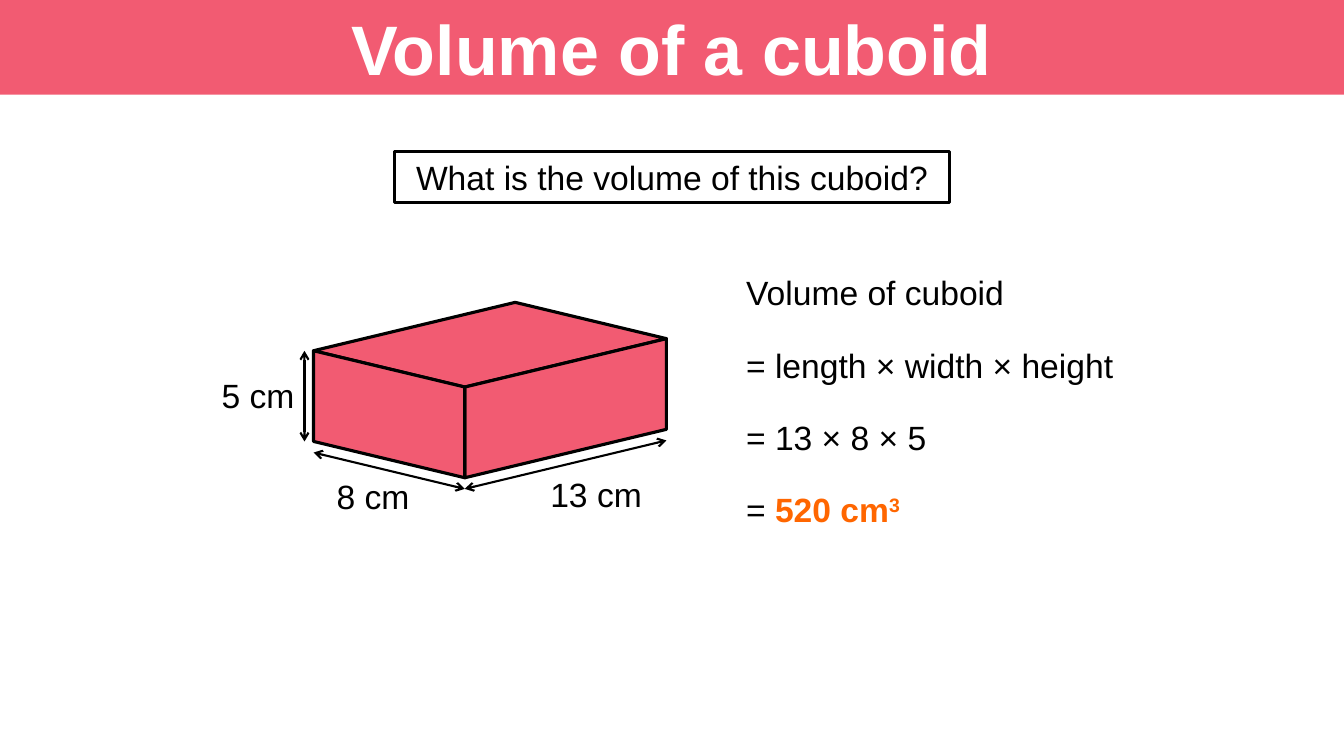
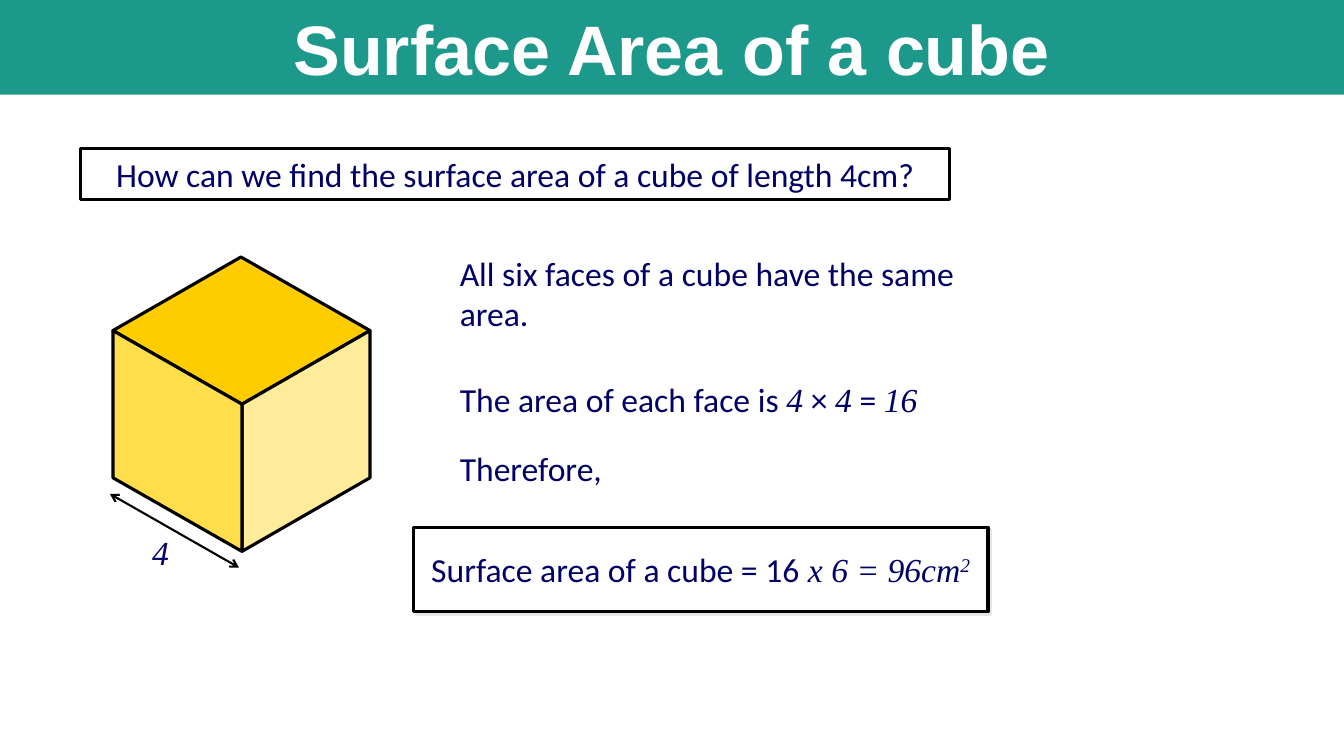
from dataclasses import dataclass
from typing import NamedTuple

from lxml.etree import SubElement
from pptx import Presentation
from pptx.dml.color import RGBColor
from pptx.enum.shapes import MSO_CONNECTOR as Connector, MSO_SHAPE as Shape
from pptx.enum.text import MSO_ANCHOR as Anchor, MSO_AUTO_SIZE as AutoSize, PP_ALIGN as Align
from pptx.oxml.ns import qn
from pptx.util import Inches, Pt

WHITE = RGBColor(0xFF, 0xFF, 0xFF)
BLACK = RGBColor(0x00, 0x00, 0x00)
NAVY = RGBColor(0x00, 0x00, 0x66)
PINK = RGBColor(0xF2, 0x5B, 0x72)
TEAL = RGBColor(0x1D, 0x99, 0x8B)
ORANGE = RGBColor(0xFF, 0x66, 0x00)
GOLD = RGBColor(0xFF, 0xCC, 0x00)
MID_GOLD = RGBColor(0xFF, 0xDD, 0x4B)
PALE_GOLD = RGBColor(0xFF, 0xEC, 0x9B)
SHADOW_HEX = "E7E6E6"

SLIDE_WIDTH, SLIDE_HEIGHT, BAND_HEIGHT = 13.33, 7.5, 0.94
MATHS_FONT = "Times New Roman"


class Point(NamedTuple):
    x: float
    y: float

    def moved(self, *steps: "Point") -> "Point":
        return Point(self.x + sum(s.x for s in steps), self.y + sum(s.y for s in steps))


class Area(NamedTuple):
    left: float
    top: float
    width: float
    height: float

    def lengths(self) -> list:
        return [Inches(value) for value in self]


@dataclass(frozen=True)
class Style:
    font: str
    color: RGBColor
    size: float = 24
    bold: bool = False
    italic: bool = False


class Piece(NamedTuple):
    text: str
    style: Style | None = None
    raised: bool = False


@dataclass(frozen=True)
class Line:
    pieces: list[Piece]
    space_before: float = 0


@dataclass(frozen=True)
class Block:
    """A box seen from its front corner; edges run left, right and up from its foot."""
    foot: Point
    left: Point
    right: Point
    up: Point
    top_color: RGBColor
    left_color: RGBColor
    right_color: RGBColor


class Measure(NamedTuple):
    text: str
    start: Point
    end: Point
    label: Area


TITLE = Style("Arial", WHITE, 50, bold=True)
ARIAL = Style("Arial", BLACK)
ANSWER = Style("Arial", ORANGE, bold=True)
CALIBRI = Style("Calibri", NAVY)
MATHS = Style(MATHS_FONT, NAVY, italic=True)


def apply_style(font, style: Style) -> None:
    font.name, font.size = style.font, Pt(style.size)
    font.bold, font.italic = style.bold, style.italic
    font.color.rgb = style.color


def write_line(para, line: Line, style: Style, align: Align = Align.LEFT) -> None:
    para.alignment = align
    para.space_before = Pt(line.space_before)
    apply_style(para.font, style)
    for piece in line.pieces:
        span = para.add_run()
        span.text = piece.text
        if piece.style:
            apply_style(span.font, piece.style)
        if piece.raised:
            span.font._element.set("baseline", "30000")


def add_page(deck, title: str, band_color: RGBColor):
    page = deck.slides.add_slide(deck.slide_layouts[1])
    band = page.shapes.title
    band.left, band.top, band.width, band.height = Area(0, 0, SLIDE_WIDTH, BAND_HEIGHT).lengths()
    band.fill.solid()
    band.fill.fore_color.rgb = band_color
    band.text_frame.auto_size = AutoSize.NONE
    band.text_frame.vertical_anchor = Anchor.MIDDLE
    write_line(band.text_frame.paragraphs[0], Line([Piece(title)]), TITLE, Align.CENTER)
    return page


def add_working(page, area: Area, lines: list[Line], style: Style) -> None:
    body = page.placeholders[1]
    body.left, body.top, body.width, body.height = area.lengths()
    frame = body.text_frame
    frame.auto_size = AutoSize.NONE
    frame.vertical_anchor = Anchor.TOP
    for index, line in enumerate(lines):
        para = frame.add_paragraph() if index else frame.paragraphs[0]
        properties = para._p.get_or_add_pPr()
        properties.set("marL", "0")
        properties.set("indent", "0")
        SubElement(properties, qn("a:buNone"))
        write_line(para, line, style)


def add_framed_text(page, area: Area, line: Line, style: Style):
    box = page.shapes.add_shape(Shape.RECTANGLE, *area.lengths())
    box.shadow.inherit = False
    box.fill.solid()
    box.fill.fore_color.rgb = WHITE
    box.line.color.rgb = BLACK
    box.line.width = Pt(2.25)
    box.text_frame.word_wrap = True
    box.text_frame.vertical_anchor = Anchor.MIDDLE
    write_line(box.text_frame.paragraphs[0], line, style, Align.CENTER)
    return box


def add_drop_shadow(box) -> None:
    effects = box._element.spPr.find(qn("a:effectLst"))
    shadow = SubElement(effects, qn("a:outerShdw"), dist=str(Pt(2.8)), dir="2700000",
                        algn="ctr", rotWithShape="0")
    SubElement(shadow, qn("a:srgbClr"), val=SHADOW_HEX)


def add_face(page, corners: list[Point], color: RGBColor) -> None:
    points = [(Inches(x), Inches(y)) for x, y in corners]
    builder = page.shapes.build_freeform(*points[0])
    builder.add_line_segments(points[1:], close=True)
    face = builder.convert_to_shape()
    face.shadow.inherit = False
    face.fill.solid()
    face.fill.fore_color.rgb = color
    face.line.color.rgb = BLACK
    face.line.width = Pt(2.25)


def add_block(page, block: Block) -> None:
    foot, left, right, up = block.foot, block.left, block.right, block.up
    for origin, first, second, color in (
        (foot.moved(up), left, right, block.top_color),
        (foot, right, up, block.right_color),
        (foot, left, up, block.left_color),
    ):
        corners = [origin, origin.moved(first), origin.moved(first, second), origin.moved(second)]
        add_face(page, corners, color)


def add_measure(page, measure: Measure, style: Style) -> None:
    """Draw a two-headed arrow and its label."""
    ends = [Inches(value) for value in (*measure.start, *measure.end)]
    arrow = page.shapes.add_connector(Connector.STRAIGHT, *ends)
    arrow.line.color.rgb = BLACK
    arrow.line.width = Pt(1.5)
    outline = arrow.line._get_or_add_ln()
    for end in ("a:headEnd", "a:tailEnd"):
        SubElement(outline, qn(end), type="arrow")
    SubElement(arrow._element.spPr, qn("a:effectLst"))
    frame = page.shapes.add_textbox(*measure.label.lengths()).text_frame
    frame.word_wrap = False
    write_line(frame.paragraphs[0], Line([Piece(measure.text)]), style)


def add_cuboid_page(deck) -> None:
    page = add_page(deck, "Volume of a cuboid", PINK)
    question = Line([Piece("What is the volume of this cuboid?")])
    add_framed_text(page, Area(3.91, 1.5, 5.51, 0.51), question, ARIAL)
    gap = 22.8
    add_working(page, Area(7.3, 2.65, 4.5, 2.65), [
        Line([Piece("Volume of cuboid")]),
        Line([Piece("= length × width × height")], gap),
        Line([Piece("= 13 × 8 × 5")], gap),
        Line([Piece("= "), Piece("520 cm", ANSWER), Piece("3", ANSWER, raised=True)], gap),
    ], ARIAL)

    cuboid = Block(Point(4.61, 4.74), Point(-1.5, -0.36), Point(2, -0.48), Point(0, -0.9),
                   PINK, PINK, PINK)
    add_block(page, cuboid)
    below, beside = Point(0, 0.11), Point(-0.09, 0)
    front = cuboid.foot.moved(below)
    side = cuboid.foot.moved(cuboid.left, beside)
    for measure in (
        Measure("8 cm", front.moved(cuboid.left), front, Area(3.24, 4.67, 0.92, 0.5)),
        Measure("13 cm", front, front.moved(cuboid.right), Area(5.36, 4.65, 1.12, 0.5)),
        Measure("5 cm", side.moved(cuboid.up), side, Area(2.1, 3.67, 0.93, 0.5)),
    ):
        add_measure(page, measure, ARIAL)


def add_cube_page(deck) -> None:
    page = add_page(deck, "Surface Area of a cube", TEAL)
    question = Line([Piece("How can we find the surface area of a cube of length 4cm?")])
    add_framed_text(page, Area(0.8, 1.47, 8.62, 0.51), question, CALIBRI)
    add_working(page, Area(4.46, 2.46, 5.22, 2.5), [
        Line([Piece("All six faces of a cube have the same area.")]),
        Line([Piece("The area of each face is "), Piece("4", MATHS), Piece(" × "),
              Piece("4", MATHS), Piece(" = "), Piece("16", MATHS)], 32),
        Line([Piece("Therefore,")], 20.5),
    ], CALIBRI)
    result = Line([Piece("Surface area of a cube = 16"), Piece(" x 6 = 96cm", MATHS),
                   Piece("2", MATHS, raised=True)])
    add_drop_shadow(add_framed_text(page, Area(4.1, 5.23, 5.7, 0.84), result, CALIBRI))

    cube = Block(Point(2.4, 5.47), Point(-1.28, -0.73), Point(1.27, -0.73), Point(0, -1.46),
                 GOLD, MID_GOLD, PALE_GOLD)
    add_block(page, cube)
    front = cube.foot.moved(Point(-0.03, 0.16))
    add_measure(page, Measure("4", front.moved(cube.left), front, Area(1.41, 5.23, 0.37, 0.51)),
                MATHS)


def main() -> None:
    deck = Presentation()
    deck.slide_width, deck.slide_height = Inches(SLIDE_WIDTH), Inches(SLIDE_HEIGHT)
    add_cuboid_page(deck)
    add_cube_page(deck)
    deck.save("out.pptx")


if __name__ == "__main__":
    main()
